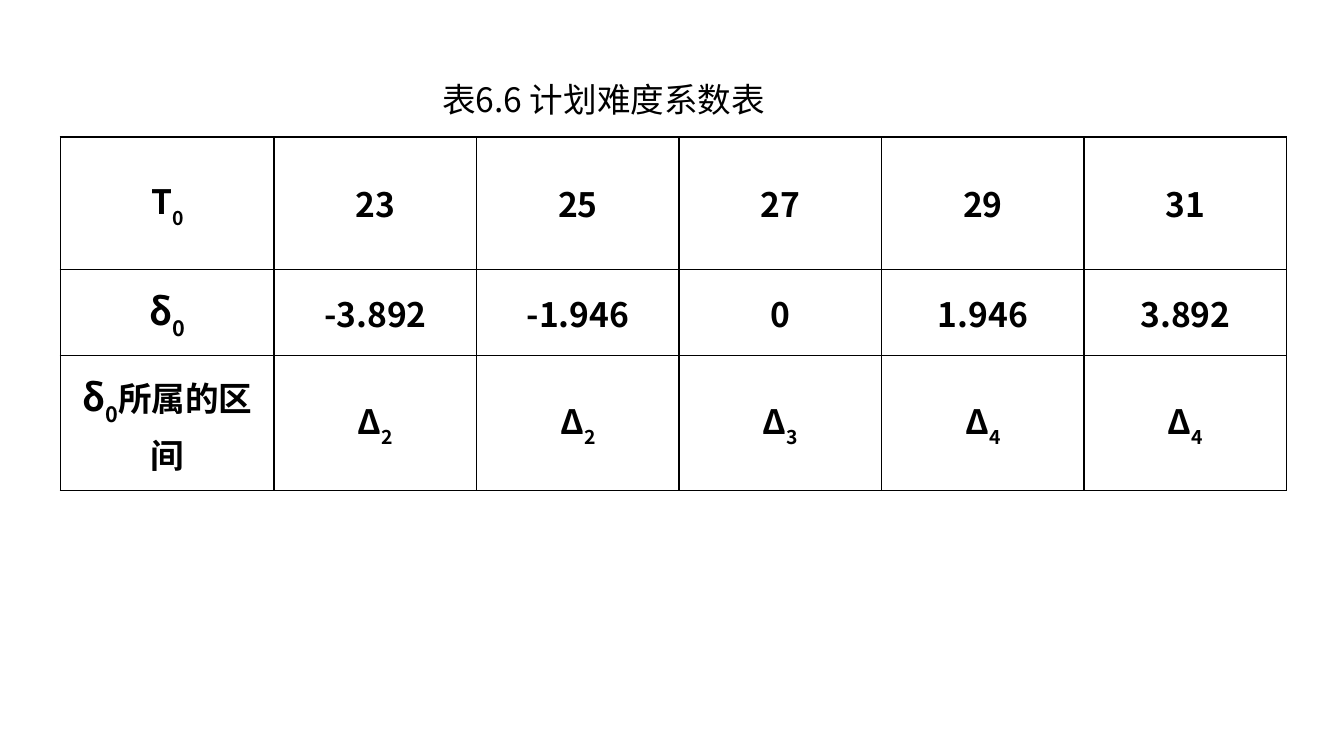
from lxml.etree import SubElement
from pptx import Presentation
from pptx.dml.color import RGBColor
from pptx.enum.text import MSO_ANCHOR, MSO_AUTO_SIZE, PP_ALIGN
from pptx.oxml import parse_xml
from pptx.oxml.ns import nsdecls, qn
from pptx.util import Pt


def color(hex_code):
    return RGBColor.from_string(hex_code)


class TableSlide:
    font_name = "Noto Sans CJK SC"
    ink = "000000"

    def __init__(self, presentation):
        self.slide = presentation.slides.add_slide(presentation.slide_layouts[5])

    def add_run(self, paragraph, text, size=18, bold=False, subscript=False):
        run = paragraph.add_run()
        run.text = text
        run.font.size = Pt(size)
        run.font.bold = bold
        run.font.color.rgb = color(self.ink)
        run.font.name = self.font_name
        properties = run.font._element
        SubElement(properties, qn("a:ea")).set("typeface", self.font_name)
        if subscript:
            properties.set("baseline", "-30000")

    def add_caption(self, text, left, top, width, height):
        caption = self.slide.shapes.title
        caption.left, caption.top = Pt(left), Pt(top)
        caption.width, caption.height = Pt(width), Pt(height)
        frame = caption.text_frame
        frame.word_wrap = False
        frame.auto_size = MSO_AUTO_SIZE.SHAPE_TO_FIT_TEXT
        frame.vertical_anchor = MSO_ANCHOR.MIDDLE
        frame.paragraphs[0].alignment = PP_ALIGN.LEFT
        self.add_run(frame.paragraphs[0], text)

    def add_borders(self, cell):
        properties = cell._tc.get_or_add_tcPr()
        for position, side in enumerate("LRTB"):
            properties.insert(position, parse_xml(
                f'<a:ln{side} {nsdecls("a")} w="12700"><a:solidFill>'
                f'<a:srgbClr val="{self.ink}"/></a:solidFill></a:ln{side}>'))

    def add_table(self, rows, left, top, column_widths, row_heights):
        """Each cell is a list of (text, size, subscript) runs."""
        table = self.slide.shapes.add_table(
            len(rows), len(column_widths), Pt(left), Pt(top),
            Pt(sum(column_widths)), Pt(sum(row_heights))).table
        table.first_row = table.horz_banding = False
        for column, width in zip(table.columns, column_widths):
            column.width = Pt(width)
        for row, height, contents in zip(table.rows, row_heights, rows):
            row.height = Pt(height)
            for cell, runs in zip(row.cells, contents):
                cell.fill.background()
                self.add_borders(cell)
                cell.vertical_anchor = MSO_ANCHOR.MIDDLE
                paragraph = cell.text_frame.paragraphs[0]
                paragraph.alignment = PP_ALIGN.CENTER
                for text, size, subscript in runs:
                    self.add_run(paragraph, text, size, True, subscript)


def indexed(symbol, index, size):
    return [(symbol, size, False), (index, size, True)]


def plain(text):
    return [(text, 18, False)]


def main():
    presentation = Presentation()
    presentation.slide_width, presentation.slide_height = Pt(720), Pt(405)
    page = TableSlide(presentation)
    page.add_caption("表6.6 计划难度系数表", 229.7, 37.4, 214.6, 31)

    durations = ["23", "25", "27", "29", "31"]
    difficulties = ["-3.892", "-1.946", "0", "1.946", "3.892"]
    intervals = "22344"
    delta = indexed("δ", "0", 20)
    rows = [
        [indexed("T", "0", 18), *map(plain, durations)],
        [delta, *map(plain, difficulties)],
        [delta + plain("所属的区间"),
         *(indexed("Δ", interval, 18) for interval in intervals)],
    ]
    page.add_table(rows, 32.4, 73.4, [114.5] + [108.5] * 5, [71, 46, 72.5])
    presentation.save("out.pptx")


if __name__ == "__main__":
    main()
